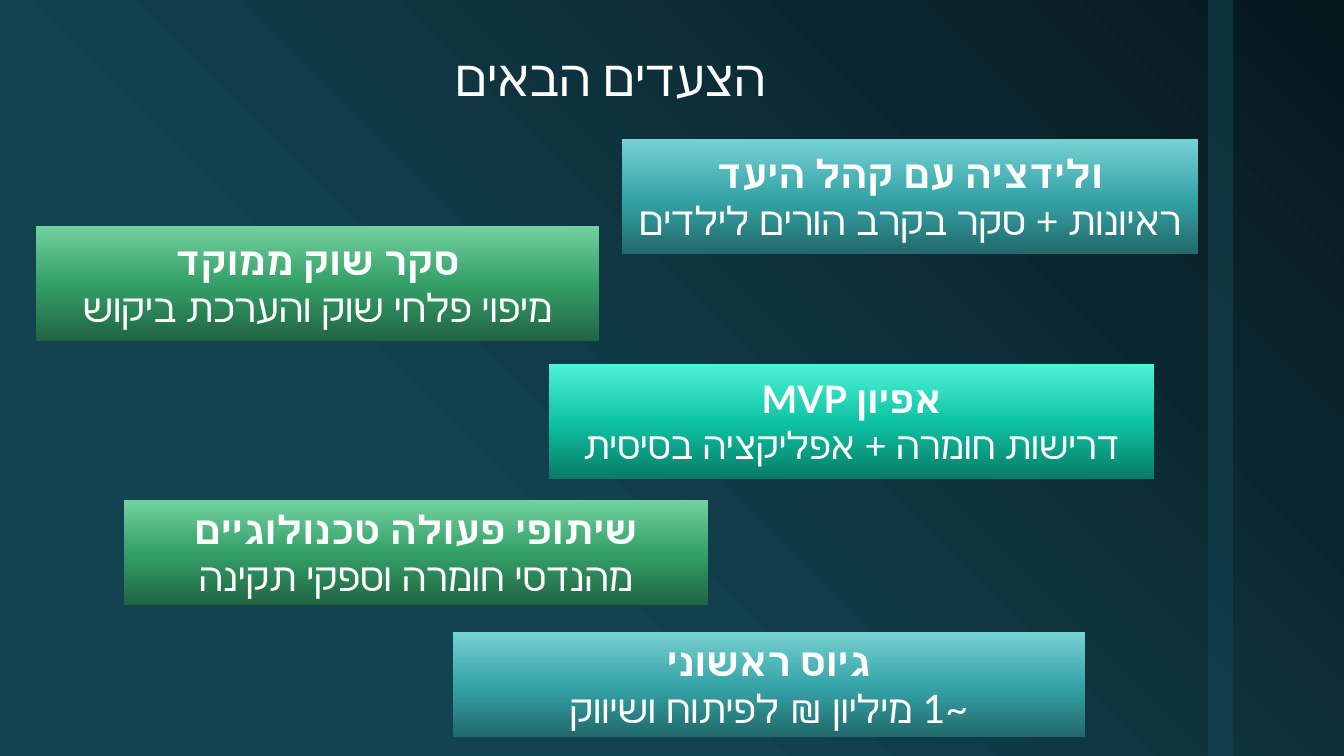
import copy
from dataclasses import dataclass

import pptx
import pptx.dml.color
import pptx.dml.fill
import pptx.enum.shapes
import pptx.enum.text
import pptx.oxml.ns
import pptx.oxml.xmlchemy
import pptx.shapes.autoshape
import pptx.slide
import pptx.text.text
import pptx.util
from lxml import etree
from pptx.util import Inches

FONT = "Lato"
WHITE = "FFFFFF"
qn = pptx.oxml.ns.qn


@dataclass(frozen=True)
class Gradient:
    stops: tuple[tuple[float, str], ...]
    angle: float  # counter-clockwise degrees


@dataclass(frozen=True)
class Step:
    heading: str
    detail: str
    left: float
    top: float
    width: float
    height: float
    gradient: Gradient
    size: int = 28


BACKDROP = Gradient(((0, "06171C"), (0.65, "134251"), (1, "134251")), 225)
TEAL = Gradient(((0, "22696B"), (0.48, "35A3A6"), (1, "77D1D3")), 90)
MINT = Gradient(((0, "087B68"), (0.48, "0DC1A2"), (1, "4EF3D8")), 90)
GREEN = Gradient(((0, "216542"), (0.48, "339E67"), (1, "73D1A0")), 90)

STEPS = [
    Step("ולידציה עם קהל היעד", "ראיונות + סקר בקרב הורים לילדים",
         6.17, 1.38, 5.71, 1.14, TEAL),
    Step("סקר שוק ממוקד", "מיפוי פלחי שוק והערכת ביקוש",
         0.36, 2.24, 5.58, 1.14, GREEN),
    Step("אפיון MVP", "דרישות חומרה + אפליקציה בסיסית",
         5.44, 3.61, 6.01, 1.14, MINT, size=27),
    Step("שיתופי פעולה טכנולוגיים", "מהנדסי חומרה וספקי תקינה",
         1.23, 4.96, 5.79, 1.04, GREEN),
    Step("גיוס ראשוני", "~1 מיליון ₪ לפיתוח ושיווק",
         4.49, 6.27, 6.27, 1.04, TEAL),
]


def color(value: str) -> pptx.dml.color.RGBColor:
    return pptx.dml.color.RGBColor.from_string(value)


def fill_gradient(fill: pptx.dml.fill.FillFormat,
                  owner: pptx.oxml.xmlchemy.BaseOxmlElement,
                  gradient: Gradient) -> None:
    """Fill with three stops; owner is the element that holds the fill."""
    fill.gradient()
    fill.gradient_angle = gradient.angle
    stop_list = next(owner.iter(qn("a:gsLst")))
    stop_list.append(copy.deepcopy(stop_list[0]))
    for stop, (position, value) in zip(fill.gradient_stops, gradient.stops):
        stop.position = position
        stop.color.rgb = color(value)


def format_rtl(para: pptx.text.text._Paragraph, size: int) -> None:
    """Centre a right-to-left paragraph and set its font for both scripts."""
    para.alignment = pptx.enum.text.PP_ALIGN.CENTER
    para._p.get_or_add_pPr().set("rtl", "1")
    para.font.name = FONT
    para.font.size = pptx.util.Pt(size)
    para.font.color.rgb = color(WHITE)
    latin = next(para._p.iter(qn("a:latin")))
    complex_script = etree.Element(qn("a:cs"), typeface=FONT)
    latin.addnext(complex_script)


def add_rectangle(page: pptx.slide.Slide, left: float, top: float,
                  width: float, height: float) -> pptx.shapes.autoshape.Shape:
    box = page.shapes.add_shape(
        pptx.enum.shapes.MSO_SHAPE.RECTANGLE,
        Inches(left), Inches(top), Inches(width), Inches(height))
    box.shadow.inherit = False
    box.line.fill.background()
    return box


def add_stripe(page: pptx.slide.Slide) -> None:
    stripe = add_rectangle(page, 11.98, 0, 0.25, 7.5)
    stripe.fill.solid()
    stripe.fill.fore_color.rgb = color("134251")
    shade = next(stripe.element.iter(qn("a:srgbClr")))
    etree.SubElement(shade, qn("a:alpha"), val="60000")


def add_title(page: pptx.slide.Slide, text: str) -> None:
    title = page.shapes.title
    title.left, title.top = Inches(1.06), Inches(0.19)
    title.width, title.height = Inches(10), Inches(0.93)
    frame = title.text_frame
    frame.text = text
    frame.vertical_anchor = pptx.enum.text.MSO_ANCHOR.BOTTOM
    para = frame.paragraphs[0]
    para.line_spacing = 0.9
    format_rtl(para, 36)


def add_step(page: pptx.slide.Slide, step: Step) -> None:
    box = add_rectangle(page, step.left, step.top, step.width, step.height)
    fill_gradient(box.fill, box.element, step.gradient)
    frame = box.text_frame
    frame.word_wrap = True
    frame.vertical_anchor = pptx.enum.text.MSO_ANCHOR.MIDDLE
    para = frame.paragraphs[0]
    heading = para.add_run()
    heading.text = step.heading
    heading.font.bold = True
    para.add_line_break()
    para.add_run().text = step.detail
    format_rtl(para, step.size)


def main() -> None:
    deck = pptx.Presentation()
    deck.slide_width, deck.slide_height = Inches(13.33), Inches(7.5)
    page = deck.slides.add_slide(deck.slide_layouts.get_by_name("Title Only"))
    fill_gradient(page.background.fill, page.element, BACKDROP)
    add_stripe(page)
    add_title(page, "הצעדים הבאים")
    for step in STEPS:
        add_step(page, step)
    deck.save("out.pptx")


if __name__ == "__main__":
    main()
